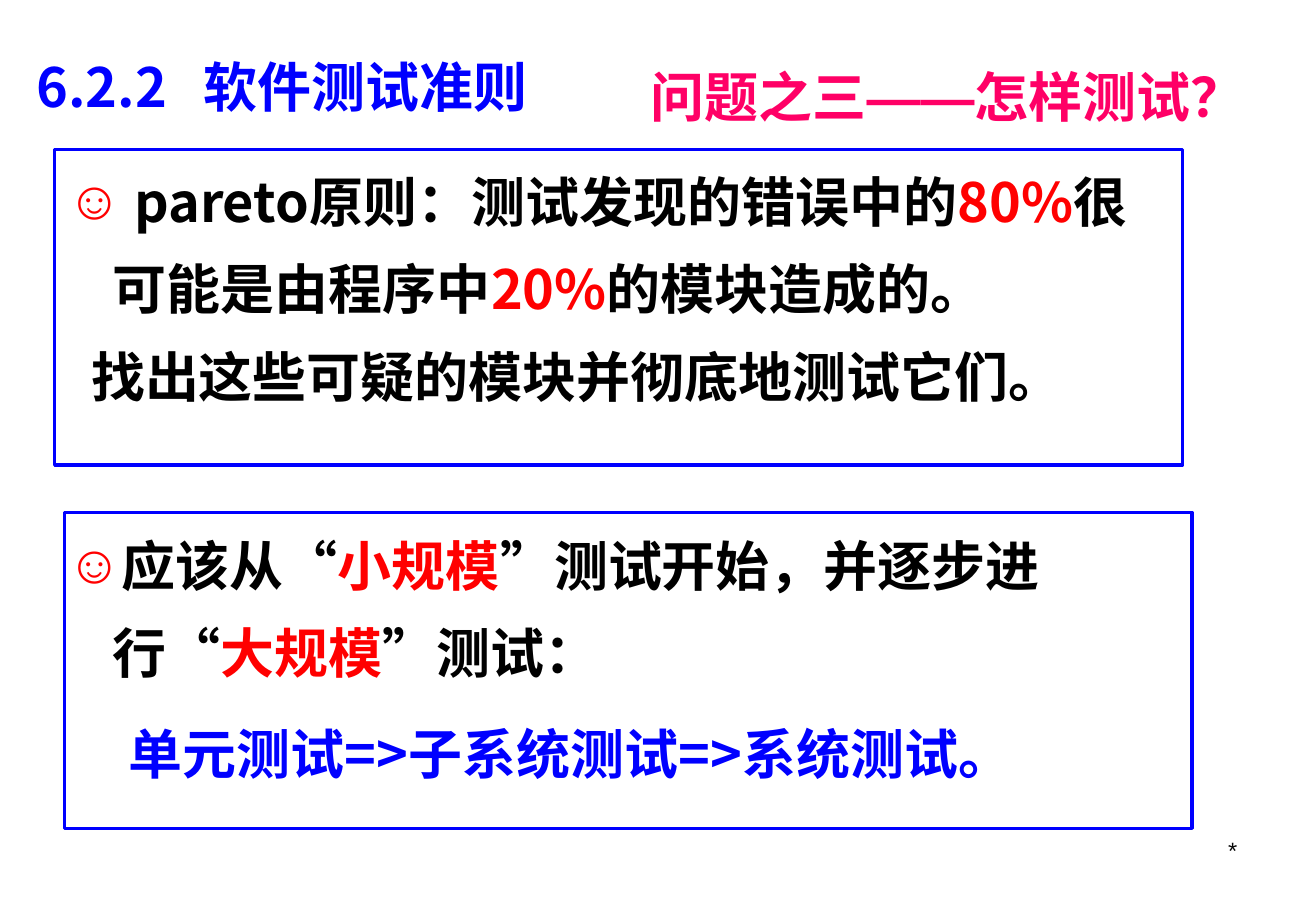
from pptx import Presentation
from pptx.dml.color import RGBColor
from pptx.enum.shapes import MSO_SHAPE
from pptx.enum.text import MSO_ANCHOR, MSO_AUTO_SIZE, PP_ALIGN
from pptx.oxml.ns import qn
from pptx.util import Inches, Pt
from lxml import etree

BLACK = RGBColor(0, 0, 0)
NEAR_BLACK = RGBColor(8, 8, 8)
BLUE = RGBColor(0, 0, 255)
RED = RGBColor(255, 0, 0)
PINK = RGBColor(255, 0, 102)
TITLE_FONT = "Noto Sans CJK SC"
BODY_FONT = "Noto Sans CJK JP"


def add_span(para, text, color, name, size=32, bold=True, latin=None):
    span = para.add_run()
    span.text = text
    look = {"size": Pt(size), "bold": bold, "name": latin or name}
    for key, value in look.items():
        setattr(span.font, key, value)
    span.font.color.rgb = color
    east_asian = etree.SubElement(span.font._element, qn("a:ea"))
    east_asian.set("typeface", name)


def place(box, left, top, width, height):
    box.left, box.top = Inches(left), Inches(top)
    box.width, box.height = Inches(width), Inches(height)


deck = Presentation()
deck.slide_width, deck.slide_height = Inches(10.84), Inches(7.5)
page = deck.slides.add_slide(deck.slide_layouts[1])

# Section title, with a tab between number and name
title = page.shapes.title
place(title, 0.2, 0.39, 7, 0.64)
title.text_frame.auto_size = MSO_AUTO_SIZE.NONE
title.text_frame.vertical_anchor = MSO_ANCHOR.MIDDLE
para = title.text_frame.paragraphs[0]
para.alignment = PP_ALIGN.LEFT
tabs = etree.SubElement(para._p.get_or_add_pPr(), qn("a:tabLst"))
etree.SubElement(tabs, qn("a:tab"), pos=str(Inches(1.38)), algn="l")
add_span(para, "6.2.2\t软件测试准则", BLUE, TITLE_FONT)

# Testing principles: bullet, left margin, space before, coloured spans
principles = [
    (True, 0.38, 0, [
        (" pareto原则：测试发现的错误中的", BLACK), ("80%", RED),
        ("很可能是由程序中", BLACK), ("20%", RED), ("的模块造成的。", BLACK)]),
    (False, 0.2, 0, [("找出这些可疑的模块并彻底地测试它们。", BLACK)]),
    (True, 0.38, 60, [
        ("应该从", BLACK), ("“", BLACK), ("小规模", RED), ("”", BLACK),
        ("测试开始，并逐步进行", BLACK), ("“", BLACK), ("大规模", RED),
        ("”", BLACK), ("测试：", BLACK)]),
    (False, 0.51, 8, [("单元测试=>子系统测试=>系统测试。", BLUE)]),
]
body = page.placeholders[1]
place(body, 0.45, 1.15, 8.98, 5.98)
frame = body.text_frame
frame.auto_size = MSO_AUTO_SIZE.NONE
for index, (bulleted, margin, before, spans) in enumerate(principles):
    para = frame.add_paragraph() if index else frame.paragraphs[0]
    para.line_spacing = 1.35
    para.space_before = Pt(before)
    settings = para._p.get_or_add_pPr()
    settings.set("marL", str(Inches(margin)))
    settings.set("indent", str(-Inches(margin) if bulleted else 0))
    if bulleted:
        bullet_color = etree.SubElement(settings, qn("a:buClr"))
        etree.SubElement(bullet_color, qn("a:srgbClr"), val=str(RED))
        etree.SubElement(settings, qn("a:buChar"), char="☺")
    else:
        etree.SubElement(settings, qn("a:buNone"))
    for text, color in spans:
        latin = "Arial" if text in "“”" else None
        add_span(para, text, color, BODY_FONT, latin=latin)

# Question beside the title
question = page.shapes.add_textbox(
    Inches(5.26), Inches(0.29), Inches(5.09), Inches(0.82))
question.text_frame.word_wrap = False
question.text_frame.auto_size = MSO_AUTO_SIZE.SHAPE_TO_FIT_TEXT
para = question.text_frame.paragraphs[0]
para.line_spacing = 1.35
add_span(para, "问题之三——怎样测试？", PINK, "Arial")

# Footer mark
footer = page.shapes.add_textbox(
    Inches(7.76), Inches(6.83), Inches(2.53), Inches(0.52))
footer.text_frame.word_wrap = True
para = footer.text_frame.paragraphs[0]
para.alignment = PP_ALIGN.RIGHT
add_span(para, "*", NEAR_BLACK, "Arial", size=14, bold=False)

# Frames around the two principles
for left, top in [(0.53, 4.22), (0.45, 1.23)]:
    border = page.shapes.add_shape(
        MSO_SHAPE.RECTANGLE, Inches(left), Inches(top), Inches(9.29), Inches(2.6))
    border.shadow.inherit = False
    border.fill.background()
    border.line.color.rgb = BLUE
    border.line.width = Pt(2)

deck.save("out.pptx")
